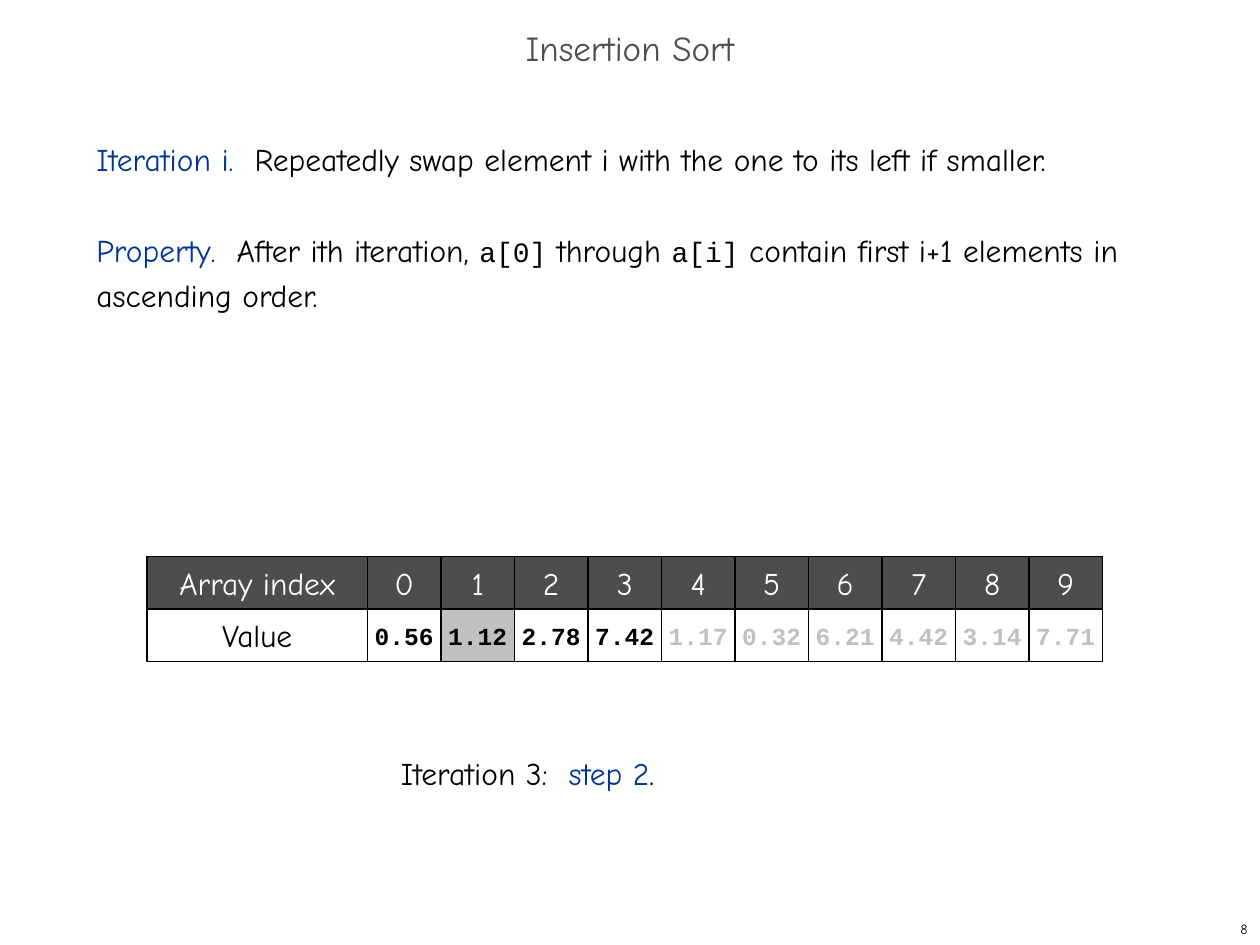
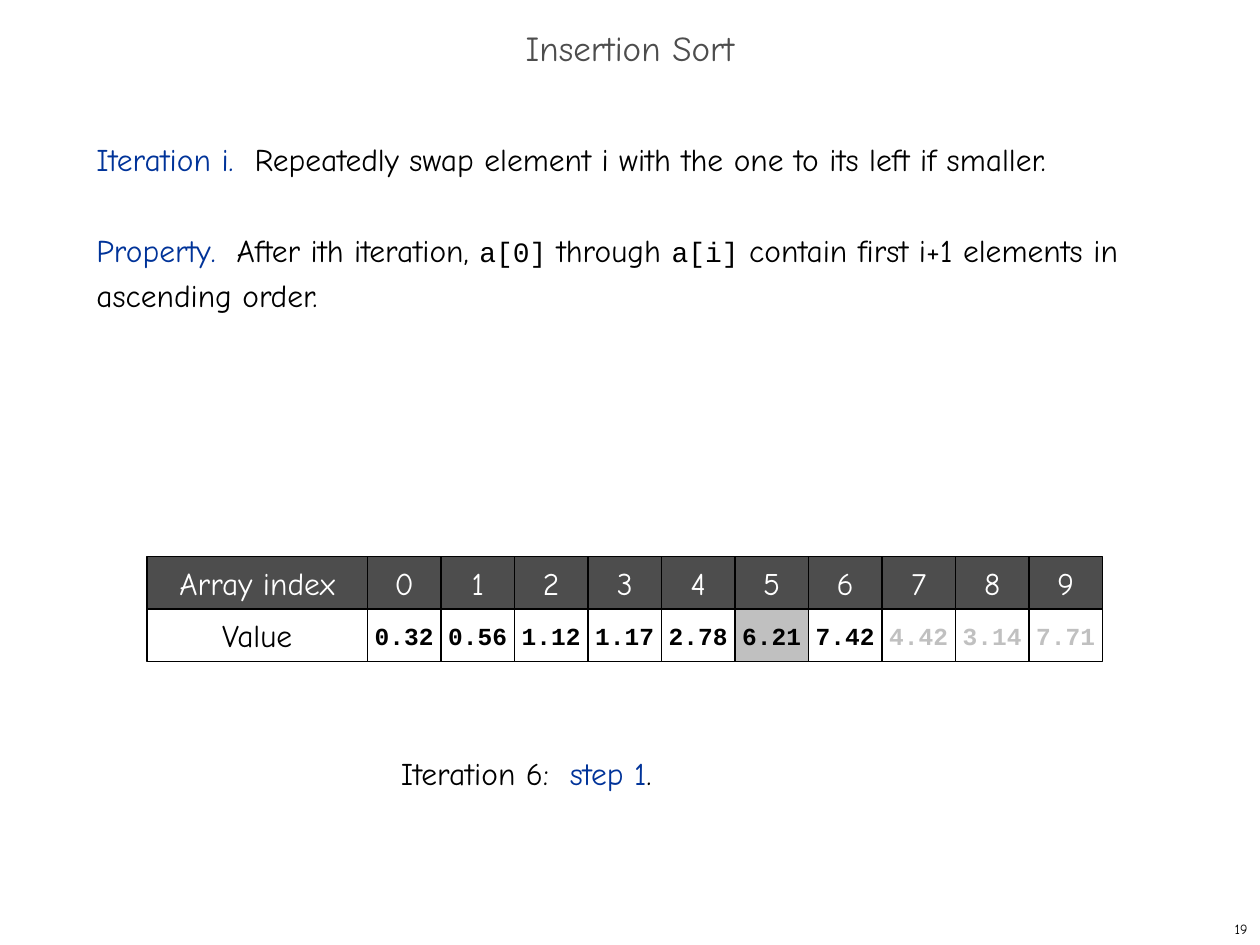
from pptx import Presentation
from pptx.dml.color import RGBColor
from pptx.enum.shapes import MSO_SHAPE
from pptx.enum.text import MSO_ANCHOR, MSO_AUTO_SIZE, PP_ALIGN
from pptx.util import Pt

PX = 7620  # EMU per px, 120 px to the inch
SLIDE_W, SLIDE_H = 1200, 900

BLACK = RGBColor(0x00, 0x00, 0x00)
WHITE = RGBColor(0xFF, 0xFF, 0xFF)
DARK_GRAY = RGBColor(0x4D, 0x4D, 0x4D)
LIGHT_GRAY = RGBColor(0xC0, 0xC0, 0xC0)
BLUE = RGBColor(0x00, 0x33, 0x99)

BODY_FONT, CODE_FONT = "Comic Neue", "Courier New"
LABEL_W, CELL_W, ROW_H = 210, 70, 50

BODY = [
    [("Iteration i.  ", {"color": BLUE}),
     ("Repeatedly swap element i with the one to its left if smaller.", {})],
    [("Property.  ", {"color": BLUE}),
     ("After ith iteration, ", {}),
     ("a[0]", {"font": CODE_FONT, "size": 16}),
     (" through ", {}),
     ("a[i]", {"font": CODE_FONT, "size": 16}),
     (" contain first i+1 elements in ascending order.", {})],
]

# page number, iteration, step, array values
SLIDES = [
    (8, 3, 2, "0.56 1.12 2.78 7.42 1.17 0.32 6.21 4.42 3.14 7.71".split()),
    (19, 6, 1, "0.32 0.56 1.12 1.17 2.78 6.21 7.42 4.42 3.14 7.71".split()),
]


def emu(*lengths):
    return [n * PX for n in lengths]


def add_run(p, text, *, size=18, color=BLACK, font=BODY_FONT, bold=False):
    r = p.add_run()
    r.text = text
    r.font.name, r.font.size, r.font.bold = font, Pt(size), bold
    r.font.color.rgb = color


def add_textbox(s, box, anchor=MSO_ANCHOR.TOP, wrap=True):
    tf = s.shapes.add_textbox(*emu(*box)).text_frame
    tf.word_wrap = wrap
    tf.vertical_anchor = anchor
    return tf


def set_title(s, box, text):
    title = s.shapes.title
    title.left, title.top, title.width, title.height = emu(*box)
    tf = title.text_frame
    tf.auto_size = MSO_AUTO_SIZE.NONE
    tf.vertical_anchor = MSO_ANCHOR.MIDDLE
    p = tf.paragraphs[0]
    p.alignment, p.line_spacing = PP_ALIGN.CENTER, 0.7
    add_run(p, text, size=20, color=DARK_GRAY)


def add_body(s, box):
    tf = add_textbox(s, box)
    for i, runs in enumerate(BODY):
        p = tf.add_paragraph() if i else tf.paragraphs[0]
        p.line_spacing = Pt(26)
        p.space_before = Pt(26 if i else 0)
        for text, style in runs:
            add_run(p, text, **style)


def add_cell(shapes, box, text, fill, **style):
    sp = shapes.add_shape(MSO_SHAPE.RECTANGLE, *emu(*box))
    sp.shadow.inherit = False
    sp.fill.solid()
    sp.fill.fore_color.rgb = fill
    sp.line.color.rgb = BLACK
    sp.line.width = Pt(0.75)
    tf = sp.text_frame
    tf.word_wrap = False
    tf.vertical_anchor = MSO_ANCHOR.MIDDLE
    p = tf.paragraphs[0]
    p.alignment = PP_ALIGN.CENTER
    add_run(p, text, **style)


def add_array(s, left, top, values, last_sorted, current):
    """Index row over value row; values after last_sorted are dimmed."""
    header = s.shapes.add_group_shape().shapes
    value_top = top + ROW_H
    add_cell(header, (left, top, LABEL_W, ROW_H), "Array index", DARK_GRAY,
             color=WHITE)
    add_cell(s.shapes, (left, value_top, LABEL_W, ROW_H), "Value", WHITE)
    for i, value in enumerate(values):
        x = left + LABEL_W + i * CELL_W
        add_cell(header, (x, top, CELL_W, ROW_H), str(i), DARK_GRAY,
                 color=WHITE)
        add_cell(s.shapes, (x, value_top, CELL_W, ROW_H), value,
                 LIGHT_GRAY if i == current else WHITE,
                 color=BLACK if i <= last_sorted else LIGHT_GRAY,
                 size=14, font=CODE_FONT, bold=True)


def add_caption(s, box, iteration, step):
    p = add_textbox(s, box).paragraphs[0]
    add_run(p, f"Iteration {iteration}:  ")
    add_run(p, f"step {step}", color=BLUE)
    add_run(p, ".")


def add_page_number(s, box, number):
    p = add_textbox(s, box, MSO_ANCHOR.MIDDLE, wrap=False).paragraphs[0]
    p.alignment = PP_ALIGN.RIGHT
    add_run(p, str(number), size=8)


def add_sort_slide(prs, page, iteration, step, values):
    s = prs.slides.add_slide(prs.slide_layouts[5])
    set_title(s, (0, 20, SLIDE_W, 60), "Insertion Sort")
    add_page_number(s, (950, 870, 250, 30), page)
    add_array(s, 140, 530, values, iteration, iteration - step)
    add_caption(s, (370, 712, 490, 48), iteration, step)
    add_body(s, (80, 120, 1060, 710))


def main():
    prs = Presentation()
    prs.slide_width, prs.slide_height = emu(SLIDE_W, SLIDE_H)
    for state in SLIDES:
        add_sort_slide(prs, *state)
    prs.save("out.pptx")


if __name__ == "__main__":
    main()
